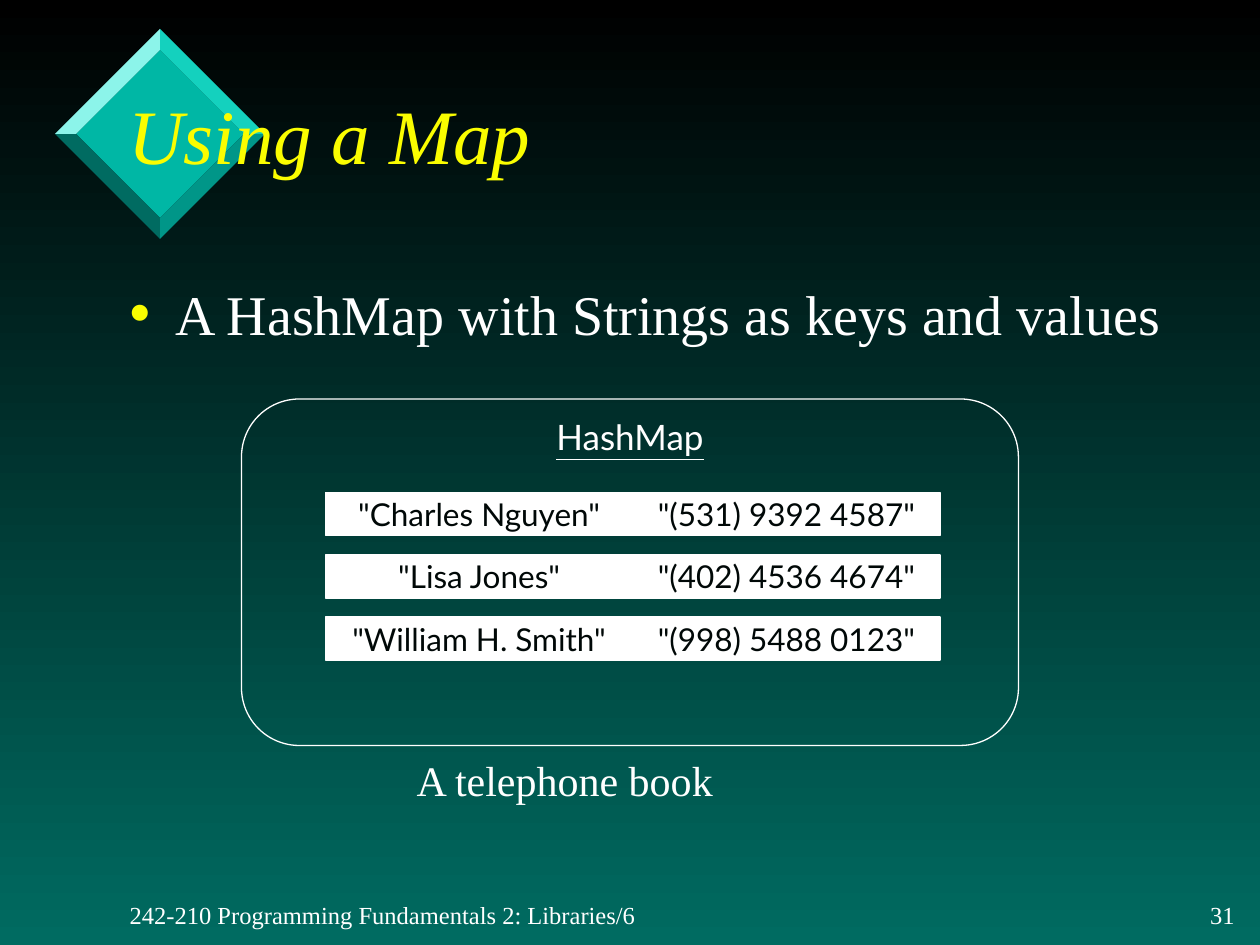
from dataclasses import dataclass
from typing import Optional

import lxml.etree
import pptx
import pptx.dml.color
import pptx.enum.shapes
import pptx.enum.text
import pptx.oxml.ns
import pptx.util

Pt = pptx.util.Pt
Align = pptx.enum.text.PP_ALIGN
Anchor = pptx.enum.text.MSO_ANCHOR
Preset = pptx.enum.shapes.MSO_SHAPE
qn = pptx.oxml.ns.qn

COLOURS = {
    "night": "000000", "deep": "006B61", "face": "00B7A5", "bright": "14D1BE",
    "pale": "8CF4EA", "shade": "009688", "white": "FFFFFF", "yellow": "FAFD00",
    "ink": "000807",
}
SERIF, SANS = "Times New Roman", "Lato"


@dataclass
class Label:
    text: str
    box: tuple[float, float, float, float]
    size: float
    font: str = SERIF
    colour: str = "white"
    align: Align = Align.LEFT
    anchor: Anchor = Anchor.TOP
    wrap: bool = True
    italic: Optional[bool] = None
    underline: Optional[bool] = None


@dataclass
class Facet:
    corners: list[tuple[float, float]]
    colour: str


@dataclass
class Entry:
    key: str
    value: str


def rgb(name: str) -> pptx.dml.color.RGBColor:
    return pptx.dml.color.RGBColor.from_string(COLOURS[name])


def write(shape, label: Label):
    frame = shape.text_frame
    frame.text = label.text
    frame.word_wrap = label.wrap
    frame.vertical_anchor = label.anchor
    paragraph = frame.paragraphs[0]
    paragraph.alignment = label.align
    font = paragraph.runs[0].font
    font.name, font.size = label.font, Pt(label.size)
    font.color.rgb = rgb(label.colour)
    font.italic, font.underline = label.italic, label.underline
    return paragraph


def add_label(slide, label: Label):
    return write(slide.shapes.add_textbox(*map(Pt, label.box)), label)


def add_facet(slide, facet: Facet) -> None:
    start, *rest = [(Pt(x), Pt(y)) for x, y in facet.corners]
    builder = slide.shapes.build_freeform(*start)
    builder.add_line_segments(rest, close=True)
    shape = builder.convert_to_shape()
    shape.shadow.inherit = False
    shape.fill.solid()
    shape.fill.fore_color.rgb = rgb(facet.colour)
    shape.line.fill.background()


def add_box(slide, preset: Preset, box: tuple, line_width: float, fill: Optional[str] = None):
    shape = slide.shapes.add_shape(preset, *map(Pt, box))
    shape.shadow.inherit = False
    if fill:
        shape.fill.solid()
        shape.fill.fore_color.rgb = rgb(fill)
    else:
        shape.fill.background()
    shape.line.color.rgb = rgb("white")
    shape.line.width = Pt(line_width)
    return shape


def add_cell(slide, text: str, box: tuple) -> None:
    cell = add_box(slide, Preset.RECTANGLE, box, 1, "white")
    write(cell, Label(text, box, 18, SANS, "ink", Align.CENTER, Anchor.MIDDLE, wrap=False))


def add_bullet(paragraph, indent: float) -> None:
    props = paragraph._p.get_or_add_pPr()
    props.set("marL", str(Pt(indent)))
    props.set("indent", str(-Pt(indent)))
    colour = lxml.etree.SubElement(props, qn("a:buClr"))
    lxml.etree.SubElement(colour, qn("a:srgbClr")).set("val", COLOURS["yellow"])
    lxml.etree.SubElement(props, qn("a:buSzPct")).set("val", "120000")
    lxml.etree.SubElement(props, qn("a:buFont")).set("typeface", SERIF)
    lxml.etree.SubElement(props, qn("a:buChar")).set("char", "•")


def diamond(radius: float) -> list[tuple[float, float]]:
    x, y = 91.4, 76.5
    return [(x, y - radius), (x + radius, y), (x, y + radius), (x - radius, y)]


deck = pptx.Presentation()
deck.slide_width, deck.slide_height = Pt(720), Pt(540)
slide = deck.slides.add_slide(deck.slide_layouts[6])

backdrop = slide.background.fill
backdrop.gradient()
backdrop.gradient_angle = 270
for stop, name in zip(backdrop.gradient_stops, ("night", "deep")):
    stop.color.rgb = rgb(name)

inner, outer = diamond(48), diamond(60)
add_facet(slide, Facet(inner, "face"))
for side, name in enumerate(("bright", "shade", "deep", "pale")):
    following = (side + 1) % 4
    add_facet(slide, Facet([inner[side], outer[side], outer[following], inner[following]], name))

for label in (
    Label("242-210 Programming Fundamentals 2: Libraries/6", (67, 510.5, 309.6, 24), 14,
          anchor=Anchor.MIDDLE, wrap=False),
    Label("31", (682.6, 510.5, 30, 24), 14, align=Align.RIGHT, anchor=Anchor.MIDDLE, wrap=False),
    Label("Using a Map", (66.2, 33.1, 612.7, 87.1), 44, colour="yellow",
          anchor=Anchor.MIDDLE, italic=True),
):
    add_label(slide, label)

summary = add_label(slide, Label("A HashMap with Strings as keys and values",
                                 (66.2, 156.2, 612, 54), 32))
summary.space_before = Pt(3)
add_bullet(summary, 27)

hash_map = add_box(slide, Preset.ROUNDED_RECTANGLE, (138, 228, 444, 198), 0.75)
hash_map.adjustments[0] = 0.167
add_label(slide, Label("HashMap", (138, 234, 444, 31), 20, SANS,
                       align=Align.CENTER, underline=True))

entries = [
    Entry('"Charles Nguyen"', '"(531) 9392 4587"'),
    Entry('"Lisa Jones"', '"(402) 4536 4674"'),
    Entry('"William H. Smith"', '"(998) 5488 0123"'),
]
CELL_WIDTH, CELL_HEIGHT, ROW_PITCH = 175.6, 24.5, 35.6
for row, entry in enumerate(entries):
    for column, text in enumerate((entry.key, entry.value)):
        add_cell(slide, text, (186 + column * CELL_WIDTH, 281.5 + row * ROW_PITCH,
                               CELL_WIDTH, CELL_HEIGHT))

add_label(slide, Label("A telephone book", (231, 427.8, 185, 36.4), 24, wrap=False))

deck.save("out.pptx")
